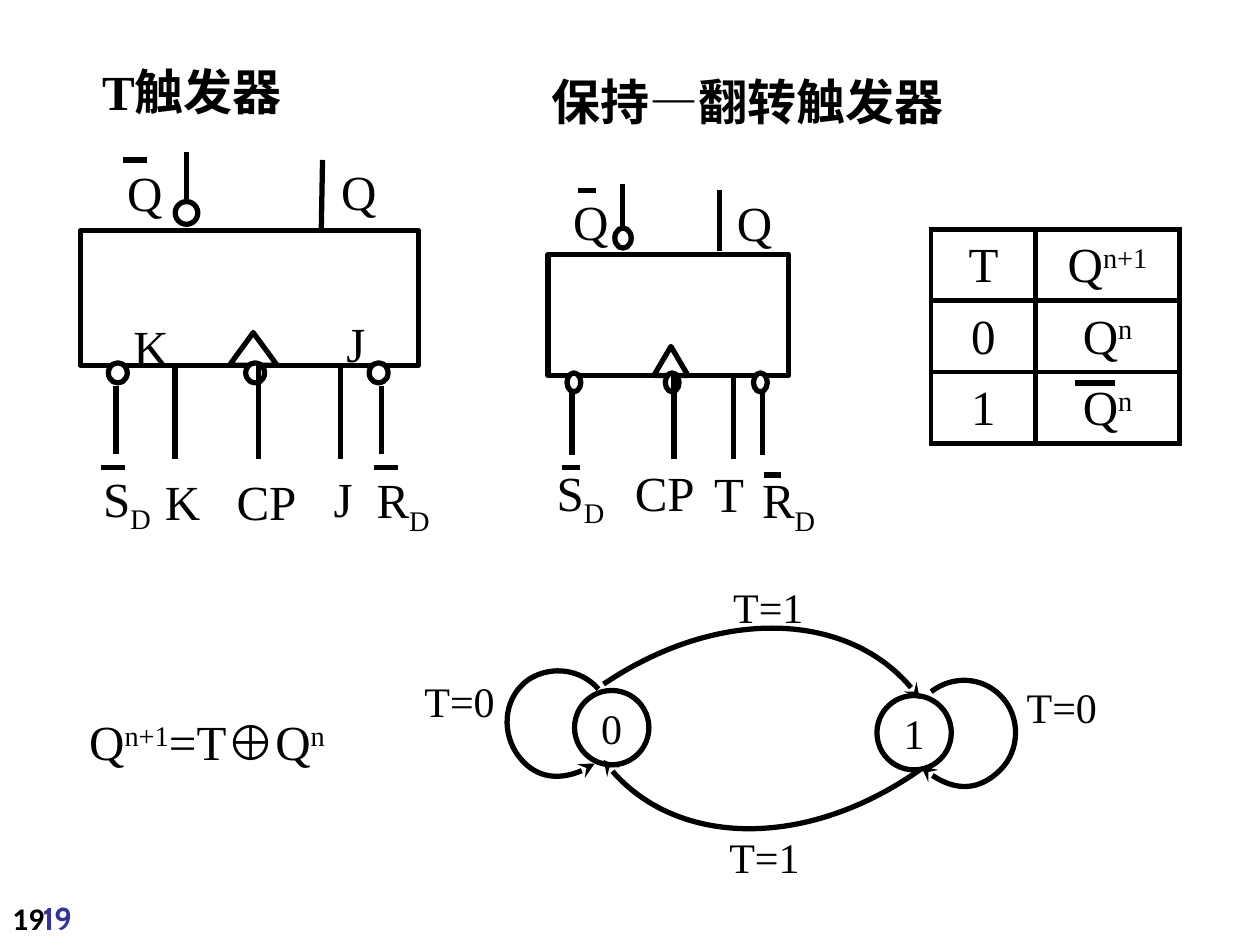
from dataclasses import dataclass

from lxml.etree import SubElement
from pptx import Presentation
from pptx.dml.color import RGBColor
from pptx.enum.shapes import MSO_CONNECTOR, MSO_SHAPE
from pptx.enum.text import MSO_ANCHOR, MSO_AUTO_SIZE, PP_ALIGN
from pptx.oxml import parse_xml
from pptx.oxml.ns import nsdecls, qn
from pptx.util import Cm, Pt

BLACK, WHITE, BLUE = "000000", "FFFFFF", "333399"
SERIF = "Times New Roman"
STROKE = 3
SUPER, SUB = 30000, -25000
FRAME_FORMAT = {"word_wrap": True, "auto_size": MSO_AUTO_SIZE.NONE,
                "vertical_anchor": MSO_ANCHOR.TOP, "margin_top": Cm(0.2)}
CELL_FORMAT = {"vertical_anchor": MSO_ANCHOR.TOP,
               "margin_top": Cm(0.2), "margin_bottom": Cm(0)}
STATE_FORMAT = {"vertical_anchor": MSO_ANCHOR.MIDDLE, "margin_left": Cm(0),
                "margin_right": Cm(0), "margin_top": Cm(0), "margin_bottom": Cm(0)}


@dataclass
class Label:
    left: float
    top: float
    width: float
    spans: list  # (text, baseline shift) pairs
    size: int = 28
    font: str = SERIF
    color: str = BLACK
    bold: bool = False


@dataclass
class FlipFlop:
    body: tuple
    clock: tuple
    output_bubble: tuple
    input_bubbles: list  # left edges
    bubble_top: float
    bubble_size: tuple
    wires: list  # x1, y1, x2, y2
    bars: list  # left, y
    bar_length: float
    labels: list


def grid(units: float) -> int:
    """One slide unit is 2.54 cm; the slide is 10 by 7.5 units."""
    return Cm(units * 2.54)


def color(value: str) -> RGBColor:
    return RGBColor.from_string(value)


def apply(target, values: dict) -> None:
    for name, value in values.items():
        setattr(target, name, value)


def write(para, spans: list, size: int = 28, font: str = SERIF,
          ink: str = BLACK, bold: bool = False) -> None:
    for text, baseline in spans:
        span = para.add_run()
        span.text = text
        apply(span.font, {"size": Pt(size), "name": font, "bold": bold})
        span.font.color.rgb = color(ink)
        if baseline:
            span.font._element.set("baseline", str(baseline))


def add_label(page, label: Label) -> None:
    box = page.shapes.add_textbox(*map(grid, (label.left, label.top, label.width, 0.57)))
    apply(box.text_frame, FRAME_FORMAT)
    write(box.text_frame.paragraphs[0], label.spans, label.size,
          label.font, label.color, label.bold)


def set_line(shape) -> None:
    shape.line.color.rgb = color(BLACK)
    shape.line.width = Pt(STROKE)


def add_outline(page, kind, place: tuple, fill: str = ""):
    shape = page.shapes.add_shape(kind, *map(grid, place))
    shape.shadow.inherit = False
    if fill:
        shape.fill.solid()
        shape.fill.fore_color.rgb = color(fill)
    else:
        shape.fill.background()
    set_line(shape)
    return shape


def add_wire(page, x1: float, y1: float, x2: float, y2: float) -> None:
    wire = page.shapes.add_connector(MSO_CONNECTOR.STRAIGHT, *map(grid, (x1, y1, x2, y2)))
    set_line(wire)
    SubElement(wire._element.spPr, qn("a:effectLst"))


def add_flip_flop(page, part: FlipFlop) -> None:
    add_outline(page, MSO_SHAPE.RECTANGLE, part.body)
    add_outline(page, MSO_SHAPE.ISOSCELES_TRIANGLE, part.clock)
    add_outline(page, MSO_SHAPE.OVAL, part.output_bubble)
    for left in part.input_bubbles:
        add_outline(page, MSO_SHAPE.OVAL, (left, part.bubble_top, *part.bubble_size), WHITE)
    for wire in part.wires:
        add_wire(page, *wire)
    for left, y in part.bars:
        add_wire(page, left, y, left + part.bar_length, y)
    for label in part.labels:
        add_label(page, label)


def add_transition(page, points: list) -> None:
    """Draw an arrow along Bézier points: a start, then triples."""
    spots = [(grid(x), grid(y)) for x, y in points]
    builder = page.shapes.build_freeform(*spots[0], scale=1.0)
    builder.add_line_segments(spots[1:], close=False)
    curve = builder.convert_to_shape()
    curve.shadow.inherit = False
    curve.fill.background()
    set_line(curve)
    SubElement(curve.line._get_or_add_ln(), qn("a:tailEnd"), type="stealth")
    # Join each three straight steps into one curve
    outline = next(curve._element.iter(qn("a:path")))
    steps = outline.findall(qn("a:lnTo"))
    for start in range(0, len(steps), 3):
        bend = SubElement(outline, qn("a:cubicBezTo"))
        for step in steps[start:start + 3]:
            bend.append(step[0])
            outline.remove(step)


def add_truth_table(page, rows: list) -> None:
    frame = page.shapes.add_table(len(rows), 2, *map(grid, (7.39, 1.82, 1.97, 1.7)))
    table = frame.table
    apply(table, {"first_row": False, "horz_banding": False})
    for column, width in zip(table.columns, (0.83, 1.14)):
        column.width = grid(width)
    for row, values in zip(table.rows, rows):
        row.height = grid(1.7 / len(rows))
        for cell, spans in zip(row.cells, values):
            apply(cell, CELL_FORMAT)
            cell.fill.background()
            para = cell.text_frame.paragraphs[0]
            para.alignment = PP_ALIGN.CENTER
            write(para, spans)
            for side in ("lnB", "lnT", "lnR", "lnL"):
                cell._tc.get_or_add_tcPr().insert(0, parse_xml(
                    f'<a:{side} {nsdecls("a")} w="{Pt(STROKE)}"><a:solidFill>'
                    f'<a:srgbClr val="{BLACK}"/></a:solidFill></a:{side}>'))


def plain(text: str) -> list:
    return [(text, 0)]


def active_low(letter: str) -> list:
    return [(letter, 0), ("D", SUB)]


Q_NOW = [("Q", 0), ("n", SUPER)]
Q_NEXT = [("Q", 0), ("n+1", SUPER)]

JK_SYMBOL = FlipFlop(
    body=(0.64, 1.83, 2.68, 1.07), clock=(1.82, 2.64, 0.38, 0.26),
    output_bubble=(1.39, 1.6, 0.18, 0.18),
    input_bubbles=[0.86, 1.95, 2.93], bubble_top=2.88, bubble_size=(0.15, 0.16),
    wires=[(1.48, 1.6, 1.48, 1.21), (2.55, 1.81, 2.56, 1.27),
           *[(x, 2.9, x, 3.64) for x in (1.39, 2.05, 2.7)],
           *[(x, 3.06, x, 3.6) for x in (0.92, 3.03)]],
    bars=[(0.98, 1.27), (0.8, 3.71), (2.97, 3.71)], bar_length=0.19,
    labels=[Label(0.91, 1.21, 0.45, plain("Q")), Label(2.61, 1.2, 0.45, plain("Q")),
            Label(0.96, 2.43, 0.61, plain("K")), Label(2.65, 2.41, 0.61, plain("J")),
            Label(0.72, 3.64, 0.83, active_low("S")), Label(1.21, 3.66, 0.45, plain("K")),
            Label(1.78, 3.66, 0.76, plain("CP")), Label(2.55, 3.64, 0.45, plain("J")),
            Label(2.89, 3.65, 0.83, active_low("R"))])

T_SYMBOL = FlipFlop(
    body=(4.35, 2.02, 1.91, 0.96), clock=(5.19, 2.75, 0.27, 0.23),
    output_bubble=(4.88, 1.81, 0.13, 0.16),
    input_bubbles=[4.5, 5.28, 5.98], bubble_top=2.96, bubble_size=(0.11, 0.15),
    wires=[(4.94, 1.81, 4.94, 1.46), (5.71, 1.99, 5.71, 1.51),
           *[(x, 2.97, x, 3.64) for x in (5.35, 5.82)],
           *[(x, 3.12, x, 3.61) for x in (4.54, 6.05)]],
    bars=[(4.59, 1.51), (4.46, 3.71), (6.06, 3.77)], bar_length=0.14,
    labels=[Label(4.45, 1.44, 0.32, plain("Q")), Label(5.75, 1.45, 0.32, plain("Q")),
            Label(4.32, 3.59, 0.71, active_low("S")), Label(4.94, 3.59, 0.84, plain("CP")),
            Label(5.57, 3.6, 0.32, plain("T")), Label(5.95, 3.65, 0.83, active_low("R"))])

TRANSITIONS = [
    [(4.75, 5.47), (4.61, 5.31), (4.38, 5.28), (4.2, 5.39), (4.01, 5.52), (3.97, 5.78),
     (4.1, 5.98), (4.23, 6.17), (4.49, 6.22), (4.72, 6.06)],
    [(7.39, 5.49), (7.56, 5.36), (7.79, 5.37), (7.94, 5.52), (8.1, 5.68), (8.1, 5.95),
     (7.94, 6.11), (7.77, 6.28), (7.51, 6.28), (7.31, 6.08)],
    [(4.79, 5.43), (5.71, 4.81), (6.83, 4.86), (7.3, 5.55)],
    [(7.3, 6.11), (6.39, 6.75), (5.27, 6.71), (4.79, 6.03)]]


def main() -> None:
    deck = Presentation()
    apply(deck, {"slide_width": Cm(25.4), "slide_height": Cm(19.05)})
    page = deck.slides.add_slide(deck.slide_layouts[5])

    # Headings
    title = page.shapes.title
    apply(title, dict(zip(("left", "top", "width", "height"),
                          map(grid, (0.71, 0.41, 2.4, 0.57)))))
    apply(title.text_frame, FRAME_FORMAT)
    para = title.text_frame.paragraphs[0]
    para.alignment = PP_ALIGN.LEFT
    write(para, plain("T触发器"), bold=True)
    add_label(page, Label(4.28, 0.49, 3.55, plain("保持—翻转触发器"), bold=True))

    # Circuit symbols
    for symbol in (JK_SYMBOL, T_SYMBOL):
        add_flip_flop(page, symbol)

    # Truth table, with the bar over the inverted state
    add_truth_table(page, [[plain("T"), Q_NEXT], [plain("0"), Q_NOW], [plain("1"), Q_NOW]])
    add_wire(page, 8.53, 3.04, 8.85, 3.04)

    # Characteristic equation
    add_label(page, Label(0.61, 5.57, 2.31, [*Q_NEXT, ("=T⊕Q", 0), ("n", SUPER)]))

    # State diagram
    for name, left, top in (("0", 4.56, 5.48), ("1", 6.96, 5.52)):
        state = add_outline(page, MSO_SHAPE.OVAL, (left, top, 0.59, 0.59))
        apply(state.text_frame, STATE_FORMAT)
        para = state.text_frame.paragraphs[0]
        para.alignment = PP_ALIGN.CENTER
        write(para, plain(name), 24)
    for points in TRANSITIONS:
        add_transition(page, points)
    for text, left, top in (("T=0", 3.27, 5.28), ("T=0", 8.05, 5.33),
                            ("T=1", 5.72, 4.54), ("T=1", 5.69, 6.52)):
        add_label(page, Label(left, top, 0.89, plain(text), 24))

    # Page numbers
    for left, font, ink in ((0, "Calibri", BLACK), (0.24, "Cabin", BLUE)):
        add_label(page, Label(left, 7.06, 0.99, plain("19"), 18, font, ink, True))

    deck.save("out.pptx")


if __name__ == "__main__":
    main()
